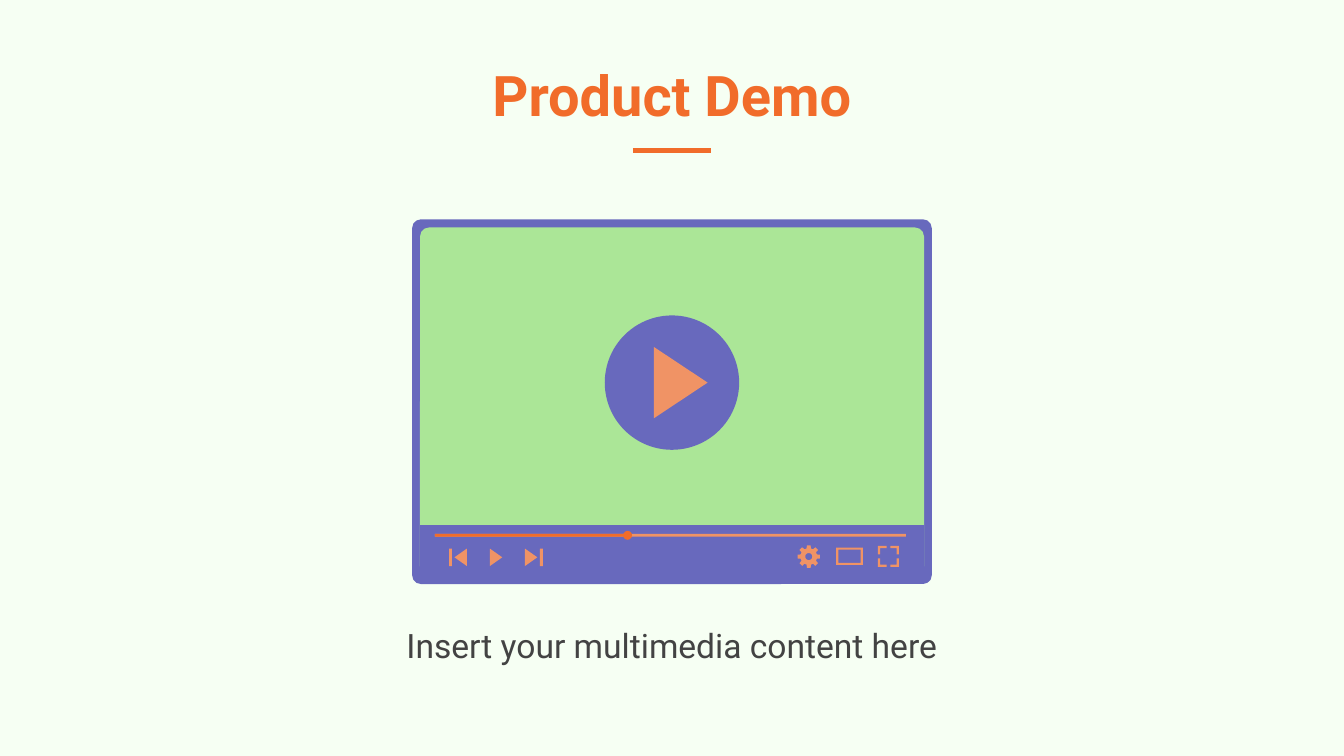
from dataclasses import dataclass
from math import cos, pi, sin

from lxml import etree
from pptx import Presentation
from pptx.dml.color import RGBColor
from pptx.enum.shapes import MSO_CONNECTOR, MSO_SHAPE
from pptx.enum.text import MSO_ANCHOR, PP_ALIGN
from pptx.oxml.ns import qn
from pptx.util import Pt

RECTANGLE = MSO_SHAPE.RECTANGLE
ROUNDED = MSO_SHAPE.ROUNDED_RECTANGLE
OVAL = MSO_SHAPE.OVAL
FRAME = MSO_SHAPE.FRAME
STRAIGHT = MSO_CONNECTOR.STRAIGHT
CENTER = PP_ALIGN.CENTER
TOP, BOTTOM = MSO_ANCHOR.TOP, MSO_ANCHOR.BOTTOM


@dataclass(frozen=True)
class Theme:
    background: str = "F6FFF3"
    accent: str = "F16C2A"
    icon: str = "F09365"
    player: str = "6869BD"
    screen: str = "ABE697"
    text: str = "434343"
    font: str = "Roboto"
    title_size: int = 30
    caption_size: int = 18


THEME = Theme()


def rgb(color):
    return RGBColor.from_string(color)


def paint(shape, color):
    shape.shadow.inherit = False
    shape.fill.solid()
    shape.fill.fore_color.rgb = rgb(color)
    shape.line.fill.background()


def add_preset(slide, kind, left, top, width, height, color, adjustment=None):
    shape = slide.shapes.add_shape(kind, Pt(left), Pt(top), Pt(width), Pt(height))
    if adjustment is not None:
        shape.adjustments[0] = adjustment
    paint(shape, color)


def add_outline(slide, contours, color):
    """Fill closed contours of points; a second contour cuts a hole."""
    contours = [[(Pt(x), Pt(y)) for x, y in contour] for contour in contours]
    builder = slide.shapes.build_freeform(*contours[0][0])
    for index, contour in enumerate(contours):
        if index:
            builder.move_to(*contour[0])
        builder.add_line_segments(contour[1:], close=True)
    paint(builder.convert_to_shape(), color)


def add_triangle(slide, base_x, middle_y, width, height):
    """A negative width makes the triangle point left."""
    points = [(base_x, middle_y - height / 2), (base_x + width, middle_y),
              (base_x, middle_y + height / 2)]
    add_outline(slide, [points], THEME.icon)


def add_text(slide, text, left, top, width, height, size, color, anchor, bold=False):
    frame = slide.shapes.add_textbox(Pt(left), Pt(top), Pt(width), Pt(height)).text_frame
    frame.word_wrap = True
    frame.vertical_anchor = anchor
    frame.margin_left = frame.margin_right = Pt(7.2)
    frame.margin_top = frame.margin_bottom = Pt(7.2)
    frame.text = text
    paragraph = frame.paragraphs[0]
    paragraph.alignment = CENTER
    font = paragraph.runs[0].font
    font.name, font.size, font.bold = THEME.font, Pt(size), bold
    font.color.rgb = rgb(color)


def add_rule(slide, left, right, y):
    line = slide.shapes.add_connector(STRAIGHT, Pt(left), Pt(y), Pt(right), Pt(y))
    line.line.width = Pt(3)
    line.line.color.rgb = rgb(THEME.accent)
    etree.SubElement(line._element.spPr, qn("a:effectLst"))


def ring_point(x, y, radius, angle):
    return x + radius * sin(angle), y - radius * cos(angle)


def add_gear(slide, x, y):
    teeth = 8
    rim = [ring_point(x, y, radius, 2 * pi * tooth / teeth + offset)
           for tooth in range(teeth)
           for radius, offset in ((4.5, -0.25), (6.1, -0.17), (6.1, 0.17), (4.5, 0.25))]
    hole = [ring_point(x, y, 1.9, -2 * pi * step / 24) for step in range(24)]
    add_outline(slide, [rim, hole], THEME.icon)


def add_full_screen_icon(slide, x, y):
    half, arm, thick = 5.65, 4.6, 1.2
    corner = [(half, half), (half - arm, half), (half - arm, half - thick),
              (half - thick, half - thick), (half - thick, half - arm), (half, half - arm)]
    for sign_x in (-1, 1):
        for sign_y in (-1, 1):
            add_outline(slide, [[(x + sign_x * dx, y + sign_y * dy) for dx, dy in corner]],
                        THEME.icon)


def add_player(slide):
    add_preset(slide, ROUNDED, 220.8, 117.5, 278.4, 195.4, THEME.player, 0.024)
    add_preset(slide, ROUNDED, 225, 121.9, 270, 186.4, THEME.screen, 0.026)
    add_preset(slide, OVAL, 324, 169, 72, 72, THEME.player)
    add_triangle(slide, 350.3, 205, 28.8, 38.2)
    add_preset(slide, RECTANGLE, 225, 281.3, 270, 30.5, THEME.player)


def add_controls(slide):
    for width, color in ((252.3, THEME.icon), (103.2, THEME.accent)):
        add_preset(slide, RECTANGLE, 233, 286, width, 1.6, color)
    add_preset(slide, OVAL, 333.8, 284.4, 4.8, 4.8, THEME.accent)

    middle, height = 298.6, 9.4
    for base_x, width in ((250.2, -6.7), (262.4, 6.7), (281.2, 6.7)):
        add_triangle(slide, base_x, middle, width, height)
    for left in (240.6, 289.3):
        add_preset(slide, RECTANGLE, left, middle - height / 2, 1.6, height, THEME.icon)

    add_gear(slide, 433.3, 298.2)
    add_preset(slide, FRAME, 448, 293.4, 14.2, 9.3, THEME.icon, 0.12)
    add_full_screen_icon(slide, 476, 298.1)


def main():
    presentation = Presentation()
    presentation.slide_width, presentation.slide_height = Pt(720), Pt(405)
    slide = presentation.slides.add_slide(presentation.slide_layouts[6])
    slide.background.fill.solid()
    slide.background.fill.fore_color.rgb = rgb(THEME.background)

    add_rule(slide, 339, 381, 80.6)
    add_text(slide, "Product Demo", 62.6, 15.8, 594.8, 59.8,
             THEME.title_size, THEME.accent, BOTTOM, bold=True)
    add_player(slide)
    add_controls(slide)
    add_text(slide, "Insert your multimedia content here", 163.4, 327.6, 393.2, 46,
             THEME.caption_size, THEME.text, TOP)
    presentation.save("out.pptx")


if __name__ == "__main__":
    main()
